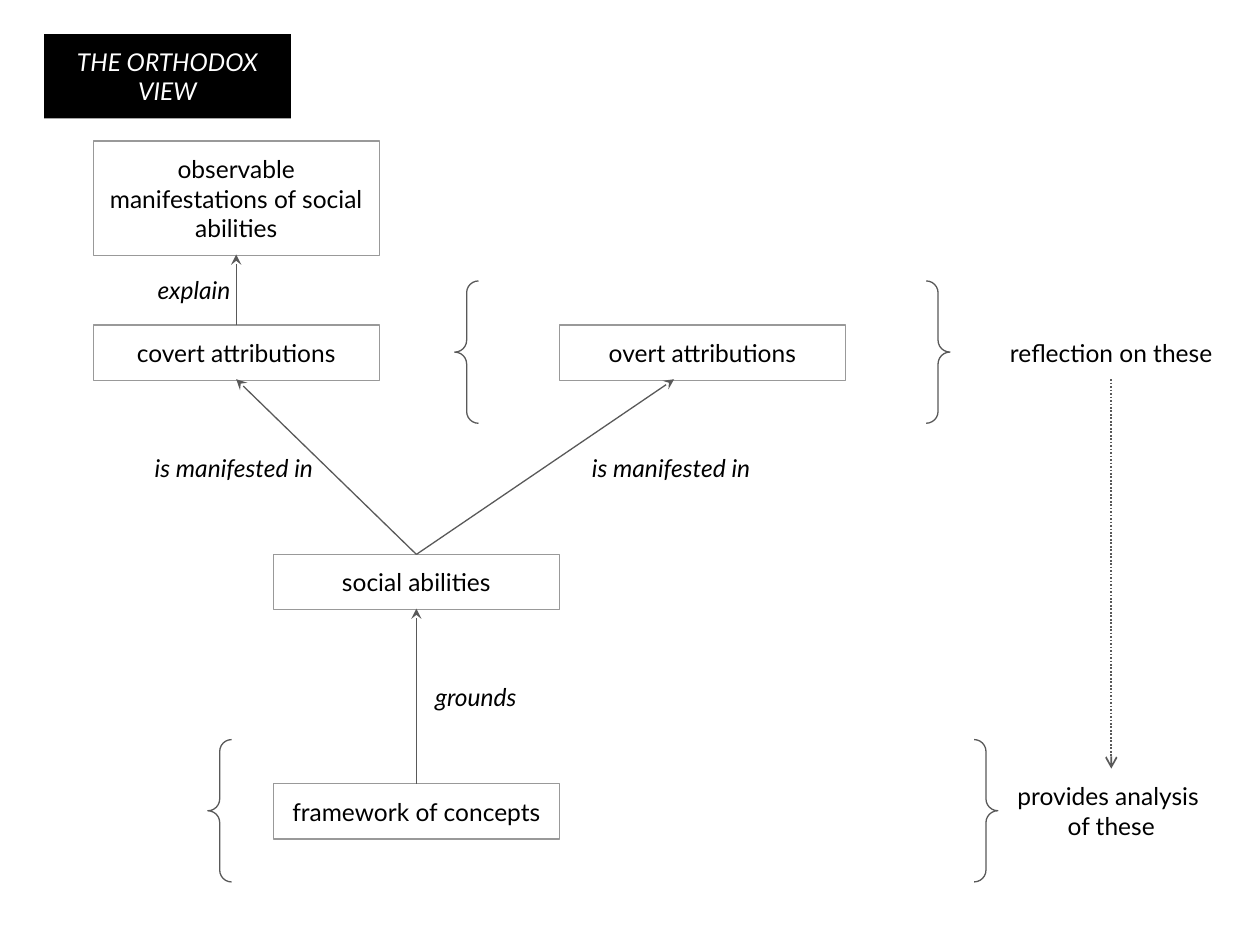
import pptx
import pptx.util
import pptx.dml.color
import pptx.enum.dml
import pptx.enum.shapes
import pptx.enum.text
import lxml.etree
import pptx.oxml.ns

COLORS = {"ink": "000000", "paper": "FFFFFF", "border": "999999", "stroke": "595959"}
inches = pptx.util.Inches
rgb = pptx.dml.color.RGBColor.from_string
shape_types = pptx.enum.shapes.MSO_SHAPE
align = pptx.enum.text.PP_ALIGN

deck = pptx.Presentation()
deck.slide_width, deck.slide_height = inches(10), inches(7.5)
page = deck.slides.add_slide(deck.slide_layouts[5])  # title only

# Grid: diagram rows are evenly spaced, labels sit on the odd rows
ROWS = [2.58 + 0.91 * number for number in range(5)]
COLUMNS = {"left": 0.74, "middle": 2.17, "right": 4.44, "side": 7.84}
BOX_WIDTH, LABEL_WIDTH, LINE_HEIGHT = 2.27, 1.96, 0.44
LEFT_AXIS = COLUMNS["left"] + BOX_WIDTH / 2
MIDDLE_AXIS = COLUMNS["middle"] + BOX_WIDTH / 2
SIDE_AXIS = COLUMNS["side"] + LABEL_WIDTH / 2


def write(box, text, color="ink", italic=False, alignment=align.CENTER):
    frame = box.text_frame
    frame_format = {"word_wrap": True, "vertical_anchor": pptx.enum.text.MSO_ANCHOR.MIDDLE,
                    "auto_size": pptx.enum.text.MSO_AUTO_SIZE.NONE}
    for side in ("left", "right", "top", "bottom"):
        frame_format[f"margin_{side}"] = inches(0.1)
    for name, value in frame_format.items():
        setattr(frame, name, value)
    para = frame.paragraphs[0]
    para.text = text
    para.alignment = alignment
    for span in para.runs:
        for name, value in {"name": "Lato", "size": pptx.util.Pt(14), "italic": italic}.items():
            setattr(span.font, name, value)
        span.font.color.rgb = rgb(COLORS[color])


def outline(shape, color, width=0.75):
    shape.line.color.rgb = rgb(COLORS[color])
    shape.line.width = pptx.util.Pt(width)


# Title
title = page.shapes.title
for name, value in {"left": 0.35, "top": 0.27, "width": LABEL_WIDTH, "height": 0.67}.items():
    setattr(title, name, inches(value))
title.fill.solid()
title.fill.fore_color.rgb = rgb(COLORS["ink"])
write(title, "THE ORTHODOX VIEW", color="paper", italic=True)

# Framed concepts
for text, column, top, height in [
    ("framework of concepts", "middle", ROWS[4], LINE_HEIGHT),
    ("social abilities", "middle", ROWS[2], LINE_HEIGHT),
    ("covert attributions", "left", ROWS[0], LINE_HEIGHT),
    ("overt attributions", "right", ROWS[0], LINE_HEIGHT),
    ("observable manifestations of social abilities", "left", 1.12, 0.91),
]:
    box = page.shapes.add_shape(shape_types.RECTANGLE, inches(COLUMNS[column]), inches(top),
                                inches(BOX_WIDTH), inches(height))
    box.shadow.inherit = False
    box.fill.background()
    outline(box, "border")
    write(box, text)

# Relation labels and side notes
for text, left, top, width, height, italic, alignment in [
    ("grounds", MIDDLE_AXIS + 0.05, ROWS[3], 0.92, LINE_HEIGHT, True, align.LEFT),
    ("is manifested in ", 0.9, ROWS[1], LABEL_WIDTH, LINE_HEIGHT, True, align.CENTER),
    ("is manifested in ", 4.37, ROWS[1], LABEL_WIDTH, LINE_HEIGHT, True, align.CENTER),
    ("explain", 0.56, ROWS[0] - 0.5, LABEL_WIDTH, LINE_HEIGHT, True, align.CENTER),
    ("reflection on these", COLUMNS["side"], ROWS[0], LABEL_WIDTH, LINE_HEIGHT, False, align.CENTER),
    ("provides analysis \vof these", COLUMNS["side"], ROWS[4] - 0.12, LABEL_WIDTH, 0.67, False, align.CENTER),
]:
    label = page.shapes.add_textbox(inches(left), inches(top), inches(width), inches(height))
    write(label, text, italic=italic, alignment=alignment)

# Brace pairs around the attribution and framework rows
for left, row, width in [(3.61, 0, 3.93), (1.65, 4, 6.27)]:
    brace = page.shapes.add_shape(shape_types.DOUBLE_BRACE, inches(left), inches(ROWS[row] - 0.35),
                                  inches(width), inches(1.13))
    brace.shadow.inherit = False
    brace.fill.background()
    outline(brace, "stroke")

# Arrows: solid ones point at their start, the dotted one at its end
for start, end, marker, arrowhead, width in [
    ((MIDDLE_AXIS, 4.83), (MIDDLE_AXIS, ROWS[4]), "headEnd", "stealth", 0.75),
    ((LEFT_AXIS, 3.01), (MIDDLE_AXIS, ROWS[2]), "headEnd", "stealth", 0.75),
    ((5.35, 3.01), (MIDDLE_AXIS, ROWS[2]), "headEnd", "stealth", 0.75),
    ((LEFT_AXIS, 2.02), (LEFT_AXIS, ROWS[0]), "headEnd", "stealth", 0.75),
    ((SIDE_AXIS, 3.01), (SIDE_AXIS, ROWS[4] - 0.12), "tailEnd", "arrow", 1),
]:
    arrow = page.shapes.add_connector(pptx.enum.shapes.MSO_CONNECTOR.STRAIGHT,
                                      *[inches(value) for value in start + end])
    outline(arrow, "stroke", width)
    if arrowhead == "arrow":
        arrow.line.dash_style = pptx.enum.dml.MSO_LINE.ROUND_DOT
    properties = arrow._element.spPr
    line = properties.find(pptx.oxml.ns.qn("a:ln"))
    lxml.etree.SubElement(line, pptx.oxml.ns.qn(f"a:{marker}"), type=arrowhead)
    lxml.etree.SubElement(properties, pptx.oxml.ns.qn("a:effectLst"))

deck.save("out.pptx")
